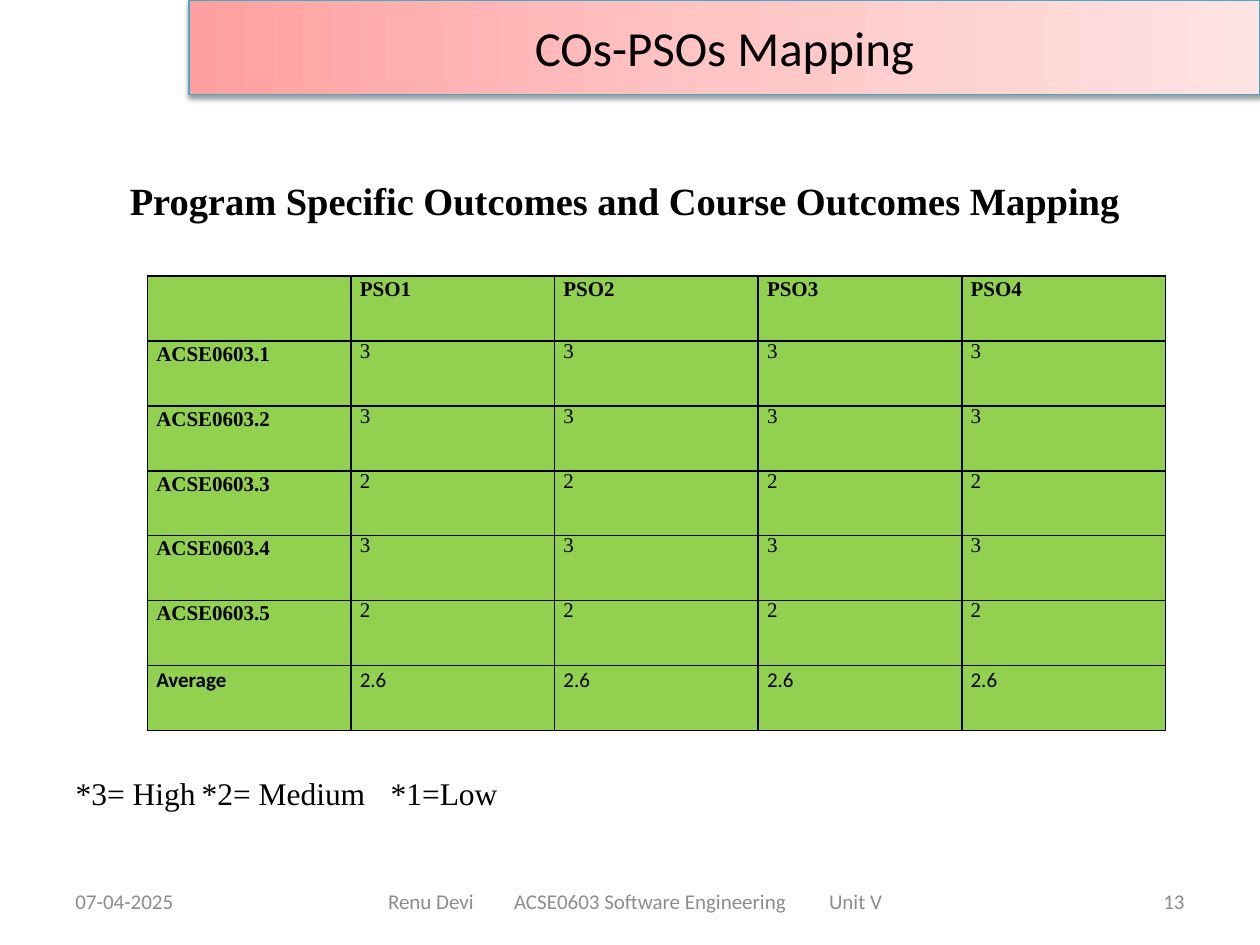
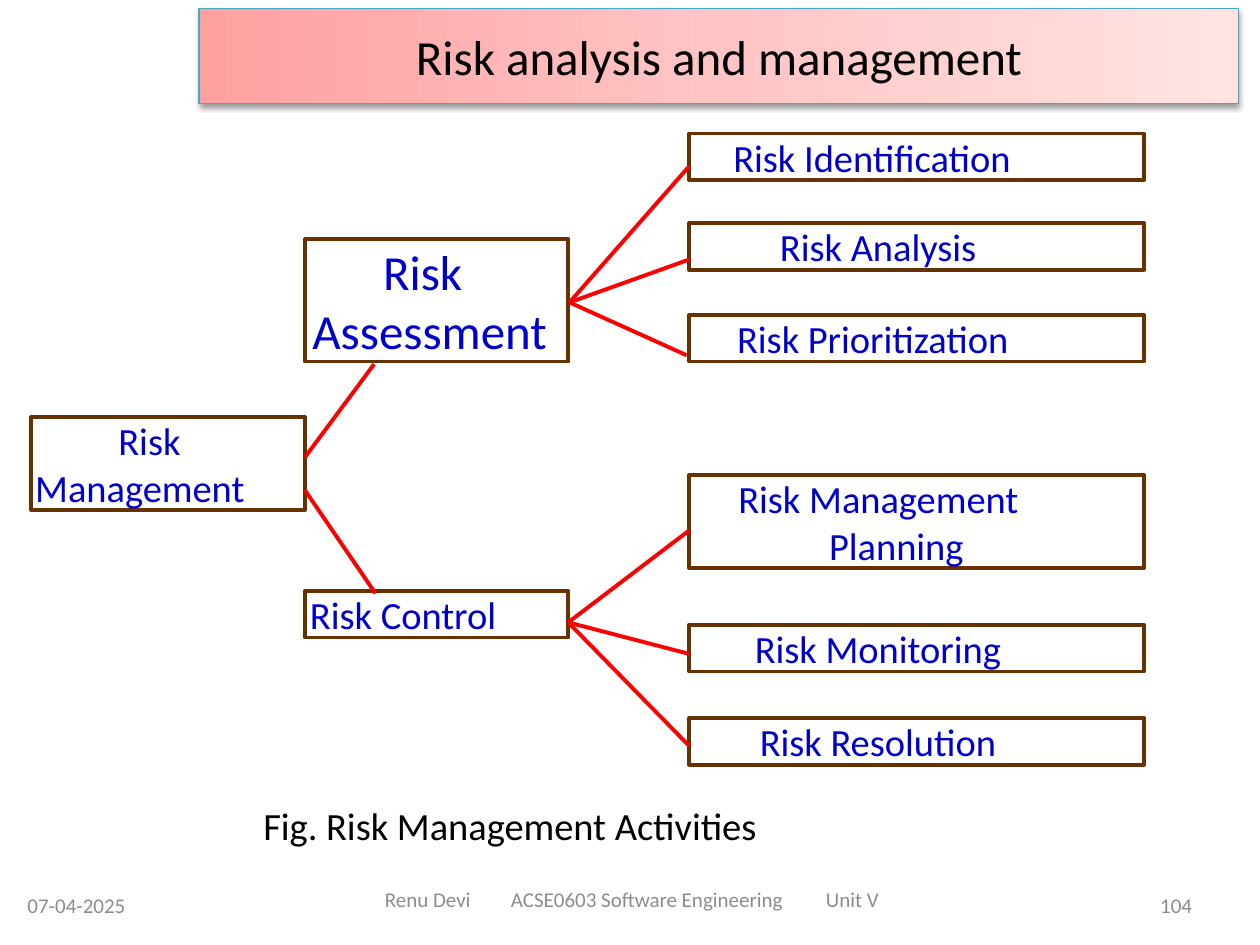
from lxml import etree
from pptx import Presentation
from pptx.dml.color import RGBColor
from pptx.enum.shapes import MSO_CONNECTOR, MSO_SHAPE
from pptx.enum.text import MSO_ANCHOR, PP_ALIGN
from pptx.oxml.ns import qn
from pptx.util import Inches, Pt

WIDE, HIGH = Inches(10), Inches(7.5)
COL, ROW = WIDE / 100, HIGH / 75

BLACK = RGBColor(0x00, 0x00, 0x00)
GREY = RGBColor(0x8C, 0x8C, 0x8C)
BLUE = RGBColor(0x00, 0x00, 0xCC)
BROWN = RGBColor(0x65, 0x32, 0x00)
RED = RGBColor(0xFF, 0x00, 0x00)
GREEN = RGBColor(0x92, 0xD0, 0x50)
TEAL = RGBColor(0x46, 0xAA, 0xC5)
BLUSH = [
    (0, RGBColor(0xFF, 0xA0, 0xA0)),
    (50, RGBColor(0xFF, 0xC5, 0xC5)),
    (100, RGBColor(0xFF, 0xE3, 0xE3)),
]

SANS, SERIF = "Calibri", "Times New Roman"
LEFT, MID, RIGHT = PP_ALIGN.LEFT, PP_ALIGN.CENTER, PP_ALIGN.RIGHT
TOP, CENTER = MSO_ANCHOR.TOP, MSO_ANCHOR.MIDDLE
RECT, LINE = MSO_SHAPE.RECTANGLE, MSO_CONNECTOR.STRAIGHT

FOOT = "Renu Devi\tACSE0603 Software Engineering\tUnit V"
FOOT_W = 55
MARKS = [
    ["", "PSO1", "PSO2", "PSO3", "PSO4"],
    *[[f"ACSE0603.{i}"] + [mark] * 4 for i, mark in enumerate("33232", 1)],
    ["Average"] + ["2.6"] * 4,
]

LEAF_X, LEAF_W, LEAF_H = 54.7, 36.1, 3.7
LEAVES = [
    (10.6, "Risk Identification", 3.5),
    (17.7, "Risk Analysis", 7.2),
    (25, "Risk Prioritization", 3.8),
    (49.6, "Risk Monitoring", 5.2),
    (57, "Risk Resolution", 5.6),
]
NODES = [
    ((2.5, 33.1, 21.7, 7.4), "Risk Management", 22, 0.3, 6.6),
    ((24.2, 19, 20.9, 9.7), "Risk Assessment", 28, 0.6, 5.6),
    ((24.2, 46.9, 20.9, LEAF_H), "Risk Control", 22, 0.4, 0),
    ((LEAF_X, 37.7, LEAF_W, 7.4), "Risk Management Planning", 22, 11.1, -7.2),
]
LINKS = [
    ((24.2, 36.3), [(29.7, 28.9)]),
    ((24.2, 38.9), [(29.8, 47.1)]),
    ((45.2, 24), [(LEAF_X, 13.2), (LEAF_X, 20.6), (54.5, 28.2)]),
    ((45.1, 49.4), [(LEAF_X, 42.1), (LEAF_X, 51.9), (LEAF_X, 59.2)]),
]


def place(x, y, w, h):
    return int(x * COL), int(y * ROW), int(w * COL), int(h * ROW)


def add(node, tag, **attrs):
    return etree.SubElement(node, qn(tag), {k: str(v) for k, v in attrs.items()})


def tint(node, color, **mods):
    clr = add(node, "a:srgbClr", val=color)
    for name, val in mods.items():
        add(clr, f"a:{name}", val=val)


def write(frame, text, size, color=BLACK, font=SANS, align=LEFT, bold=False,
          tabs=(), margin=0, indent=0):
    para = frame.paragraphs[0]
    para.text = text
    props = para._p.get_or_add_pPr()
    props.set("marL", str(int(margin * COL)))
    props.set("indent", str(int(indent * COL)))
    if tabs:
        stops = add(props, "a:tabLst")
        for tab in tabs:
            add(stops, "a:tab", pos=int(tab * COL), algn="l")
    para.alignment = align
    para.font.size, para.font.name = Pt(size), font
    para.font.bold, para.font.color.rgb = bold, color
    return para


def label(slide, box, text, size, inset=1, **style):
    frame = slide.shapes.add_textbox(*place(*box)).text_frame
    frame.word_wrap = True
    frame.vertical_anchor = CENTER
    frame.margin_left = int(inset * COL)
    write(frame, text, size, **style)


def title(slide, box, text):
    band = slide.shapes.add_shape(RECT, *place(*box))
    band.fill.gradient()
    band.fill.gradient_angle = 0
    stops = band._element.spPr.find(".//" + qn("a:gsLst"))
    stops.clear()
    for share, color in BLUSH:
        tint(add(stops, "a:gs", pos=share * 1000), color)
    band.line.color.rgb, band.line.width = TEAL, Pt(0.75)
    band.shadow.inherit = False
    glow = add(band._element.spPr.find(qn("a:effectLst")), "a:outerShdw",
               blurRad=Pt(3.1), dist=Pt(1.6), dir=5400000, rotWithShape=0)
    tint(glow, BLACK, alpha=38000)
    write(band.text_frame, text, 28, align=MID)


def footer(slide, page, date_x, page_x, side_y, foot_x, foot_y, foot_w=FOOT_W):
    label(slide, (date_x, side_y, 23.3, 4), "07-04-2025", 12, color=GREY)
    label(slide, (page_x, side_y, 23.3, 4), page, 12, color=GREY, align=RIGHT)
    label(slide, (foot_x, foot_y, foot_w, 4), FOOT, 12, color=GREY,
          inset=3.3 + (foot_w - FOOT_W) / 2, tabs=(10.9, 42.2))


def edge(cell):
    props = cell._tc.get_or_add_tcPr()
    for side in "LRTB":
        line = add(props, f"a:ln{side}", w=Pt(1))
        tint(add(line, "a:solidFill"), BLACK)


def grid(slide, box, rows):
    table = slide.shapes.add_table(len(rows), len(rows[0]), *place(*box)).table
    table.first_row = table.horz_banding = False
    for r, row in enumerate(rows):
        last = r == len(rows) - 1
        for c, text in enumerate(row):
            cell = table.cell(r, c)
            edge(cell)
            cell.fill.solid()
            cell.fill.fore_color.rgb = GREEN
            cell.margin_left = cell.margin_right = 0
            cell.margin_top = cell.margin_bottom = 0
            cell.vertical_anchor = TOP
            head = r == 0 or c == 0
            para = write(cell.text_frame, text, 12, bold=head, margin=0.7,
                         font=SANS if last else SERIF)
            para.line_spacing = 1.07 if head or last else Pt(12.5)


def node(slide, box, text, size, margin, indent=0):
    shape = slide.shapes.add_shape(RECT, *place(*box))
    shape.shadow.inherit = False
    shape.fill.background()
    shape.line.color.rgb, shape.line.width = BROWN, Pt(2.25)
    frame = shape.text_frame
    frame.word_wrap = True
    frame.margin_left = frame.margin_right = 0
    frame.margin_top = frame.margin_bottom = 0
    write(frame, text, size, BLUE, margin=margin, indent=indent)


def link(slide, start, end):
    x1, y1, x2, y2 = place(*start, *end)
    line = slide.shapes.add_connector(LINE, x1, y1, x2, y2)
    line.line.color.rgb, line.line.width = RED, Pt(2.25)
    add(line._element.spPr, "a:effectLst")


def mapping(slide):
    title(slide, (15, 0, 85, 7.5), "COs-PSOs Mapping")
    label(slide, (7.3, 13.8, 85.2, 4.2),
          "Program Specific Outcomes and Course Outcomes Mapping", 22,
          inset=3, font=SERIF, bold=True)
    grid(slide, (11.7, 21.9, 80.8, 36.1), MARKS)
    label(slide, (0, 60.9, 97.7, 4), "*3= High\t*2= Medium\t*1=Low", 18,
          inset=6, font=SERIF, tabs=(25, 55))
    footer(slide, "13", 5, 71.7, 69.5, 27.5, 69.5)


def risk(slide):
    title(slide, (15.8, 0.7, 82.5, 7.5), "Risk analysis and management")
    for parts in NODES:
        node(slide, *parts)
    for y, text, margin in LEAVES:
        node(slide, (LEAF_X, y, LEAF_W, LEAF_H), text, 22, margin)
    for start, ends in LINKS:
        for end in ends:
            link(slide, start, end)
    label(slide, (20.8, 63.4, 56.6, 4.2), "Fig. Risk Management Activities",
          22, inset=0.1)
    footer(slide, "104", 1.2, 72.3, 69.8, 26.4, 69.4, 56.7)


def main():
    deck = Presentation()
    deck.slide_width, deck.slide_height = WIDE, HIGH
    blank = deck.slide_layouts[6]
    for build in (mapping, risk):
        build(deck.slides.add_slide(blank))
    deck.save("out.pptx")


if __name__ == "__main__":
    main()
